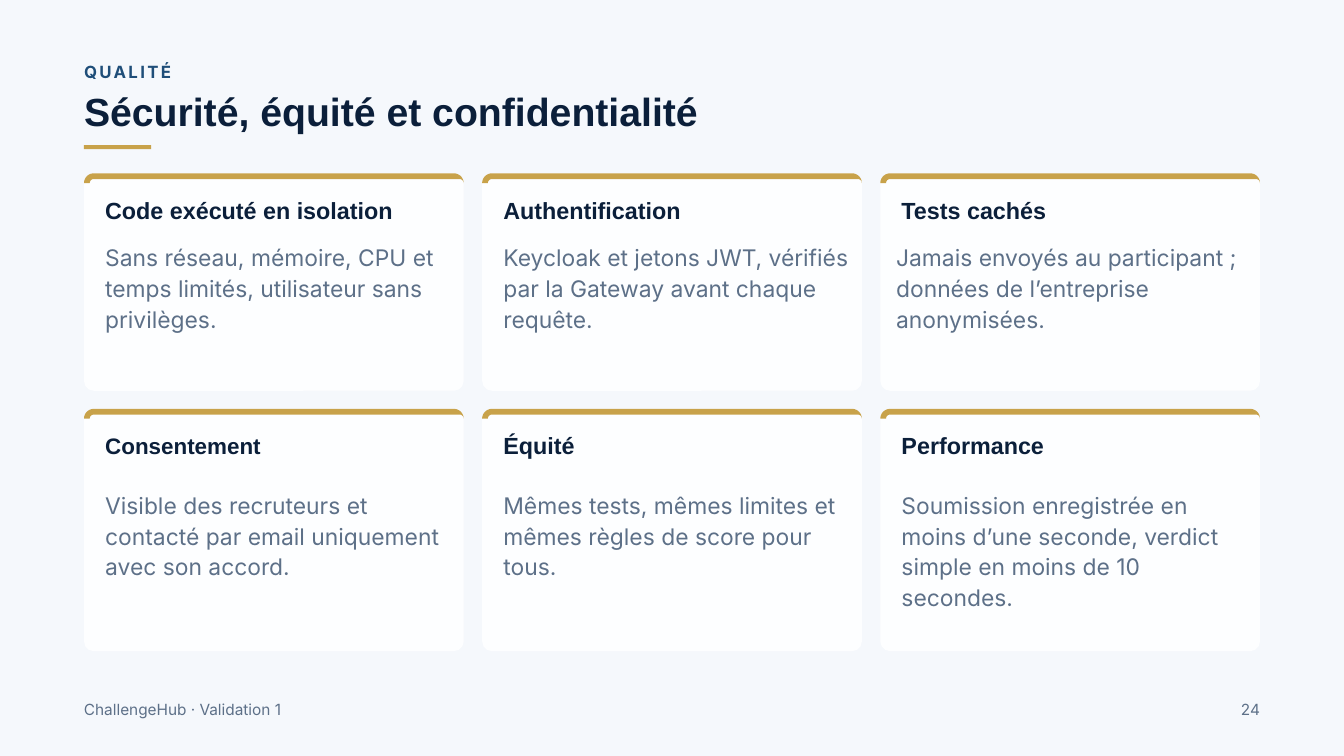
"""Build the quality slide: six cards on security, fairness and privacy."""
import math

from pptx import Presentation, util as u
from pptx.dml.color import RGBColor
from pptx.enum import shapes, text

COLORS = {"page": "F5F8FC", "card": "FDFEFF", "gold": "C8A24A",
          "navy": "0B1F3A", "blue": "1F4E79", "slate": "5D7088"}
CELL = u.Inches(0.1)
COLUMNS, ROWS = 200, 112.5
MARGIN, GAP = 12.5, 2.75
CARD_WIDTH = (COLUMNS - 2 * MARGIN - 2 * GAP) / 3
INSET, BODY_WIDTH = 3.15, 51.8
RADIUS, BAR = 1.45, 0.85

CARD_ROWS = [
    {"top": 25.8, "height": 32.35, "heading": 3.5, "body": 9.9, "cards": [
        ("Code exécuté en isolation", 42.8, 25, 0, 13.8,
         "Sans réseau, mémoire, CPU et temps limités, utilisateur sans privilèges."),
        ("Authentification", 26.4, 25, 0, 13.8,
         "Keycloak et jetons JWT, vérifiés par la Gateway avant chaque requête."),
        ("Tests cachés", 21.8, 25, -0.8, 13.8,
         "Jamais envoyés au participant ; données de l’entreprise anonymisées."),
    ]},
    {"top": 60.85, "height": 36.05, "heading": 3.55, "body": 11.75, "cards": [
        ("Consentement", 51.8, 24, 0, 13.8,
         "Visible des recruteurs et contacté par email uniquement avec son accord."),
        ("Équité", 10.6, 25, 0, 13.8,
         "Mêmes tests, mêmes limites et mêmes règles de score pour tous."),
        ("Performance", 21.2, 25, 0, 18.3,
         "Soumission enregistrée en moins d’une seconde, verdict simple en moins de 10 secondes."),
    ]},
]


def arc(center_x, center_y, radius_x, radius_y, start, end, steps=12):
    """Return points along an elliptical arc, with angles in degrees."""
    angles = [math.radians(start + (end - start) * i / steps) for i in range(steps + 1)]
    return [(center_x + radius_x * math.cos(a), center_y - radius_y * math.sin(a))
            for a in angles]


class SlideBuilder:
    """Hold the style and the current slide; lengths are in grid cells."""

    def __init__(self, presentation):
        """Add a title-only slide with the page colour."""
        self.slide = presentation.slides.add_slide(presentation.slide_layouts[5])
        self.fill(self.slide.background, "page")

    @staticmethod
    def cells(*lengths):
        """Convert grid cells to slide units."""
        return [u.Emu(round(length * CELL)) for length in lengths]

    @staticmethod
    def fill(item, color):
        """Give an item a solid fill."""
        item.fill.solid()
        item.fill.fore_color.rgb = RGBColor.from_string(COLORS[color])

    def finish(self, shape, color):
        """Make a shape flat: fill only, no line or shadow."""
        self.fill(shape, color)
        shape.line.fill.background()
        shape.shadow.inherit = False

    def set_text(self, shape, words, size, color, font, leading, bold=False,
                 align=text.PP_ALIGN.LEFT, wrap=True, tracking=0):
        """Put one styled run into a shape without margins."""
        frame = shape.text_frame
        frame.margin_left = frame.margin_top = frame.margin_right = frame.margin_bottom = 0
        frame.word_wrap = wrap
        frame.auto_size = text.MSO_AUTO_SIZE.NONE
        frame.vertical_anchor = text.MSO_ANCHOR.TOP
        paragraph = frame.paragraphs[0]
        paragraph.alignment = align
        paragraph.line_spacing = u.Pt(leading)
        run = paragraph.add_run()
        run.text = words
        run.font.size, run.font.name, run.font.bold = u.Pt(size), font, bold
        run.font.color.rgb = RGBColor.from_string(COLORS[color])
        if tracking:
            run._r.get_or_add_rPr().set("spc", str(round(tracking * 100)))

    def title(self, box, words):
        """Place and format the title placeholder."""
        shape = self.slide.shapes.title
        shape.left, shape.top, shape.width, shape.height = self.cells(*box)
        self.set_text(shape, words, 42, "navy", "Arial", 45.4, bold=True)

    def label(self, box, words, size, color, font, leading, **options):
        """Add a text box."""
        shape = self.slide.shapes.add_textbox(*self.cells(*box))
        self.set_text(shape, words, size, color, font, leading, **options)

    def rectangle(self, box, color, radius=0):
        """Add a rectangle, rounded when a radius is given."""
        kind = shapes.MSO_SHAPE.ROUNDED_RECTANGLE if radius else shapes.MSO_SHAPE.RECTANGLE
        shape = self.slide.shapes.add_shape(kind, *self.cells(*box))
        if radius:
            shape.adjustments[0] = radius / min(box[2:])
        self.finish(shape, color)

    def top_bar(self, left, top, width):
        """Add the gold band that follows a card's rounded top edge."""
        right, base = left + width, top + RADIUS
        inner = RADIUS - BAR
        points = (arc(left + RADIUS, base, RADIUS, RADIUS, 180, 90)
                  + arc(right - RADIUS, base, RADIUS, RADIUS, 90, 0)
                  + arc(right - inner, base, inner, inner, 0, 90)
                  + arc(left + RADIUS, base, inner, inner, 90, 180))
        points = [self.cells(*point) for point in points]
        builder = self.slide.shapes.build_freeform(*points[0])
        builder.add_line_segments(points[1:], close=True)
        self.finish(builder.convert_to_shape(), "gold")

    def card(self, column, row, heading, heading_width, size, shift, body_height, body):
        """Add one card with its band, heading and body."""
        left, top = MARGIN + column * (CARD_WIDTH + GAP), row["top"]
        self.rectangle((left, top, CARD_WIDTH, row["height"]), "card", RADIUS)
        self.top_bar(left, top, CARD_WIDTH)
        self.label((left + INSET, top + row["heading"], heading_width, 4.1), heading,
                   size, "navy", "Arial", size * 1.15, bold=True, wrap=False)
        self.label((left + INSET + shift, top + row["body"], BODY_WIDTH, body_height),
                   body, 24.5, "slate", "Inter", 33.1)


def main():
    """Build and save the slide."""
    presentation = Presentation()
    presentation.slide_width, presentation.slide_height = SlideBuilder.cells(COLUMNS, ROWS)
    builder = SlideBuilder(presentation)
    builder.label((MARGIN, 9.2, 180.2, 3.4), "QUALITÉ", 18, "blue", "Inter", 21.6,
                  bold=True, tracking=2.5)
    builder.title((MARGIN, 13.7, 180.2, 6.4), "Sécurité, équité et confidentialité")
    builder.rectangle((MARGIN, 21.6, 10, 0.6), "gold")
    for row in CARD_ROWS:
        for column, card in enumerate(row["cards"]):
            builder.card(column, row, *card)
    builder.label((MARGIN, 104.2, 35.3, 3.3), "ChallengeHub · Validation 1",
                  16.5, "slate", "Inter", 19.8, wrap=False)
    builder.label((COLUMNS - MARGIN - 3.7, 104.2, 3.7, 3.3), "24",
                  16.5, "slate", "Inter", 19.8, align=text.PP_ALIGN.RIGHT, wrap=False)
    presentation.save("out.pptx")


if __name__ == "__main__":
    main()
